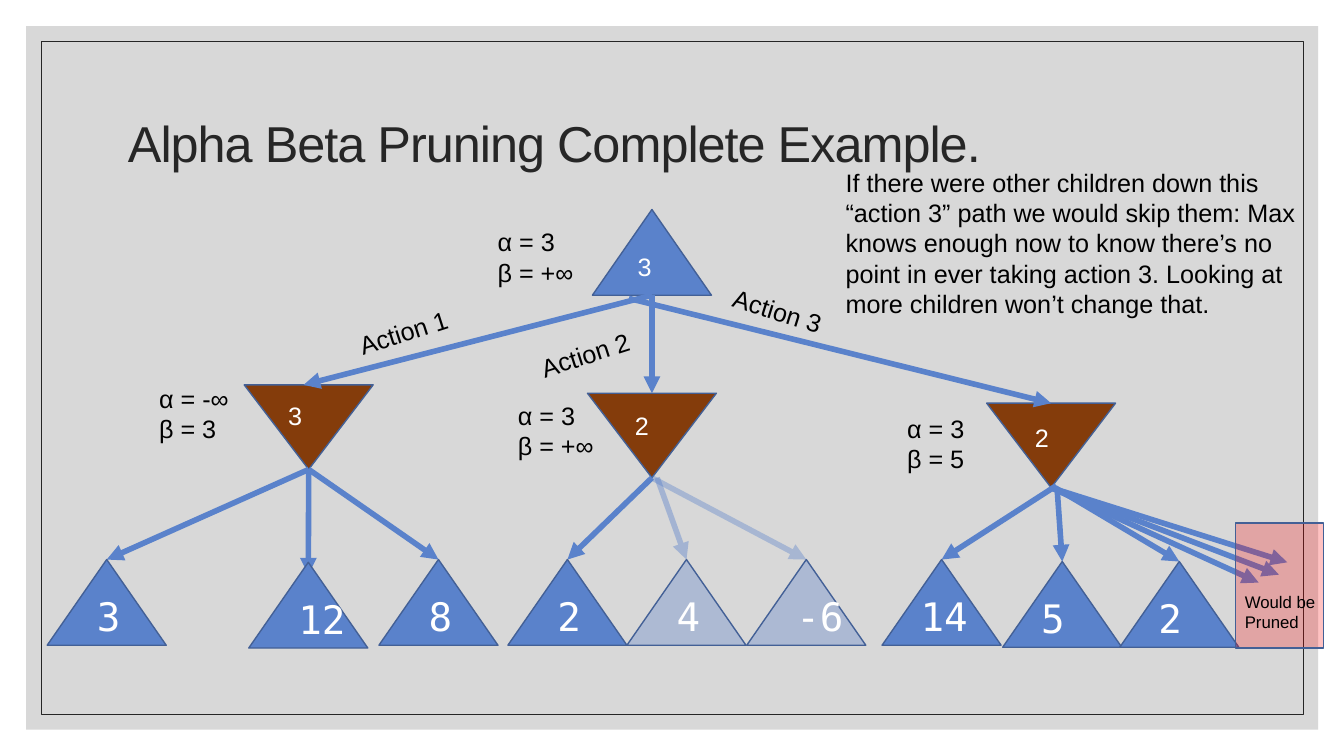
from dataclasses import dataclass
from lxml.etree import SubElement
from pptx import Presentation
from pptx.dml.color import RGBColor as RGB
from pptx.enum.shapes import MSO_CONNECTOR as Link, MSO_SHAPE as Shape
from pptx.enum.text import MSO_ANCHOR as Anchor, PP_ALIGN as Align
from pptx.oxml.ns import qn
from pptx.util import Cm, Pt

# Content: all places and lengths are in centimetres
TITLE = "Alpha Beta Pruning Complete Example."
NOTE = ("If there were other children down this “action 3” path we would skip "
        "them: Max knows enough now to know there’s no point in ever taking "
        "action 3. Looking at more children won’t change that.")
PRUNED = "Would be Pruned"

ROOT = dict(mid=16.43, top=5.28, value="3", spot=(15.82, 6.2),
            bounds=("α = 3", "β = +∞"), side=(12.29, 5.59))

# Leaf: value, centre, top, text inset, arrow start shift, arrow end y,
# opacity of leaf and of arrow
MINS = [
    dict(mid=7.78, top=9.7, value="3", spot=(7.01, 9.96),
         bounds=("α = -∞", "β = 3"), side=(3.76, 9.53),
         act="Action 1", tag=(8.76, 7.8), turn=-17.7,
         start=(16.43, 7.44), end=(7.65, 9.7),
         leaves=[("3", 2.69, 14.1, 1, (0, 0), 14.1, 100, 100),
                 ("12", 7.77, 14.17, 1, (0, 0), 14.48, 100, 100),
                 ("8", 11.05, 14.1, 1, (0, 0), 14.1, 100, 100)]),
    dict(mid=16.43, top=9.91, value="2", spot=(15.75, 10.21),
         bounds=("α = 3", "β = +∞"), side=(12.8, 9.96),
         act="Action 2", tag=(13.34, 8.36), turn=-17.7,
         start=(16.43, 7.44), end=(16.43, 9.91),
         leaves=[("2", 14.3, 14.1, 1, (0, 0), 14.1, 100, 100),
                 ("4", 17.3, 14.1, 1, (0.13, 0), 14.1, 34, 42),
                 ("-6", 20.32, 14.1, 1, (0, 0), 14.1, 35, 38)]),
    dict(mid=26.49, top=10.16, value="2", spot=(25.83, 10.52),
         bounds=("α = 3", "β = 5"), side=(22.61, 10.29),
         act="Action 3", tag=(18.19, 7.39), turn=17.4,
         start=(15.85, 7.52), end=(26.49, 10.16),
         leaves=[("14", 23.73, 14.1, 0.72, (0.13, -0.05), 14.1, 100, 100),
                 ("5", 26.77, 14.15, 0.72, (0.15, 0), 14.15, 100, 100),
                 ("2", 29.72, 14.15, 0.72, (0.1, 0), 14.15, 100, 100)]),
]
CUTS = [(32.23, 14.48), (32.44, 14.17), (31.72, 14.68)]
MAX_SIZE, MIN_SIZE = (3, 2.16), (3.25, 2.13)


@dataclass(frozen=True)
class Theme:
    sans: str = "Arial"
    mono: str = "DejaVu Sans Mono"
    pane: str = "BFBFBF"
    ink: str = "262626"
    black: str = "000000"
    white: str = "FFFFFF"
    blue: str = "5A82CB"
    edge: str = "436096"
    brown: str = "843C0B"
    red: str = "FF0000"
    head: int = 36
    leaf: int = 28
    body: int = 18
    small: int = 12


T = Theme()
deck = Presentation()
deck.slide_width, deck.slide_height = Cm(33.87), Cm(19.05)
slide = deck.slides.add_slide(deck.slide_layouts[5])
shapes = slide.shapes


def fade(item, share):
    """Set the opacity, in percent, of the first colour of a shape."""
    if share < 100:
        tint = next(item.element.spPr.iter(qn("a:srgbClr")))
        SubElement(tint, qn("a:alpha"), val=str(share * 1000))


def add_run(para, text, size, color, font=T.sans):
    run = para.add_run()
    run.text = text
    run.font.name, run.font.size = font, Pt(size)
    run.font.color.rgb = RGB.from_string(color)
    return run


def write(lines, place, size, pt=T.body, color=T.black, font=T.sans,
          wrap=True, turn=0):
    box = shapes.add_textbox(*map(Cm, (*place, *size)))
    box.rotation = turn
    frame = box.text_frame
    frame.word_wrap = wrap
    for i, line in enumerate(lines):
        para = frame.add_paragraph() if i else frame.paragraphs[0]
        add_run(para, line, pt, color, font)


def draw(kind, place, size, fill=None, line=None, width=1, share=100):
    item = shapes.add_shape(kind, *map(Cm, (*place, *size)))
    item.shadow.inherit = False
    if fill:
        item.fill.solid()
        item.fill.fore_color.rgb = RGB.from_string(fill)
        fade(item, share)
    else:
        item.fill.background()
    if line:
        item.line.color.rgb = RGB.from_string(line)
        item.line.width = Pt(width)
    else:
        item.line.fill.background()
    return item


def peak(mid, top, size, fill, share=100):
    place = (mid - size[0] / 2, top)
    return draw(Shape.ISOSCELES_TRIANGLE, place, size, fill, T.edge, share=share)


def arrow(start, end, share=100):
    link = shapes.add_connector(Link.STRAIGHT, *map(Cm, (*start, *end)))
    link.line.color.rgb = RGB.from_string(T.blue)
    link.line.width = Pt(4)
    fade(link, share)
    props = link.element.spPr
    SubElement(props.find(qn("a:ln")), qn("a:tailEnd"), type="triangle")
    SubElement(props, qn("a:effectLst"))


def label(node):
    write([node["value"]], node["spot"], (0.84, 1.02), color=T.white, wrap=False)
    write(node["bounds"], node["side"], (2.64, 1.8))


# Title, with the grey pane and thin frame behind it
title = shapes.title
title.left, title.top, title.width, title.height = map(Cm, (2.97, 1.78, 27.94, 3.81))
title.text_frame.vertical_anchor = Anchor.MIDDLE
title.text_frame.word_wrap = True
para = title.text_frame.paragraphs[0]
para.alignment, para.line_spacing = Align.LEFT, 0.9
run = add_run(para, TITLE, T.head, T.ink)
run.font._element.set("spc", "-70")
pane = draw(Shape.RECTANGLE, (0.66, 0.66), (32.56, 17.73), T.pane, share=60)
rim = draw(Shape.RECTANGLE, (1.04, 1.04), (31.8, 16.97), line=T.ink, width=0.5)
for back in (pane, rim):
    title.element.addprevious(back.element)

# Root and side note
peak(ROOT["mid"], ROOT["top"], MAX_SIZE, T.blue)
label(ROOT)
write([NOTE], (21.06, 4.09), (11.84, 4.88))

# Min nodes with their actions and leaves
for node in MINS:
    body = peak(node["mid"], node["top"], MIN_SIZE, T.brown)
    body.element.spPr.find(qn("a:xfrm")).set("flipV", "1")
    arrow(node["start"], node["end"])
    label(node)
    write([node["act"]], node["tag"], (3.25, 1.02), turn=node["turn"])
    tip = node["top"] + MIN_SIZE[1]
    for value, mid, top, inset, (dx, dy), end, share, ghost in node["leaves"]:
        arrow((node["mid"] + dx, tip + dy), (mid, end), ghost)
        peak(mid, top, MAX_SIZE, T.blue, share)
        write([value], (mid - MAX_SIZE[0] / 2 + inset, top + 0.71), (1.83, 1.45),
              T.leaf, T.white, T.mono)

# Pruned children of the last node
for cut in CUTS:
    arrow((node["mid"], tip), cut)
draw(Shape.RECTANGLE, (31.14, 13.18), (2.21, 3.15), T.red, T.edge, share=24)
write([PRUNED], (31.12, 14.78), (2.44, 1.27), T.small)

deck.save("out.pptx")
